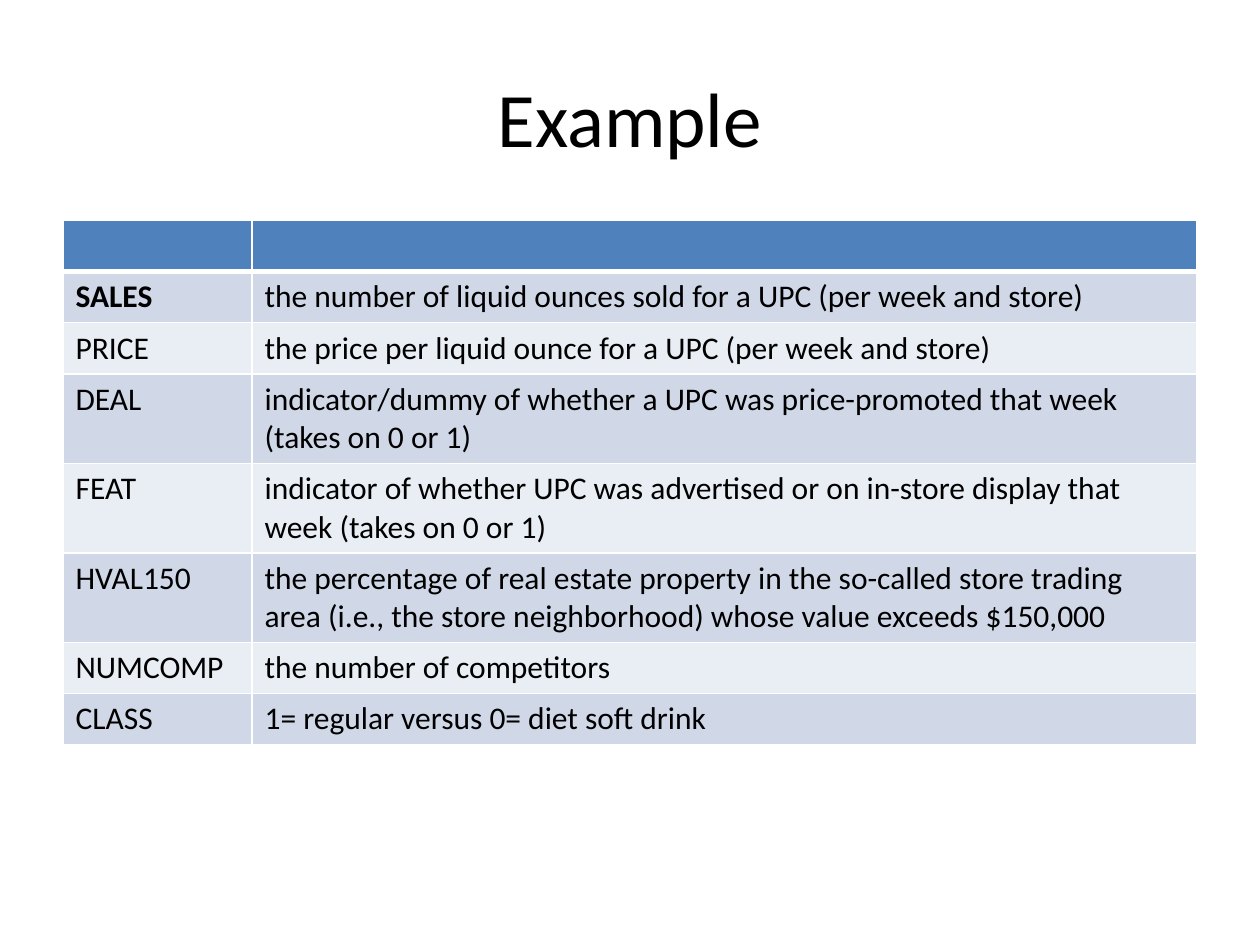
from lxml.etree import SubElement
from pptx import Presentation
from pptx.dml.color import RGBColor
from pptx.enum.text import MSO_ANCHOR, PP_ALIGN
from pptx.oxml.ns import qn
from pptx.util import Pt

FONT = "Calibri"
BLACK = RGBColor(0x00, 0x00, 0x00)
WHITE = RGBColor(0xFF, 0xFF, 0xFF)
HEADER_BLUE = RGBColor(0x4F, 0x81, 0xBD)
BAND_DARK = RGBColor(0xD0, 0xD8, 0xE8)
BAND_LIGHT = RGBColor(0xE9, 0xED, 0xF4)

VARIABLES = [
    ("SALES", "the number of liquid ounces sold for a UPC (per week and store)"),
    ("PRICE", "the price per liquid ounce for a UPC (per week and store)"),
    ("DEAL", "indicator/dummy of whether a UPC was price-promoted that week "
             "(takes on 0 or 1)"),
    ("FEAT", "indicator of whether UPC was advertised or on in-store display "
             "that week (takes on 0 or 1)"),
    ("HVAL150", "the percentage of real estate property in the so-called store "
                "trading area (i.e., the store neighborhood) whose value "
                "exceeds $150,000"),
    ("NUMCOMP", "the number of competitors"),
    ("CLASS", "1= regular versus 0= diet soft drink "),
]


class SlideBuilder:
    """Holds the text style and the current slide."""

    def __init__(self, slide):
        """Keep the slide to fill."""
        self.slide = slide

    def style(self, paragraph, size, bold=False):
        """Set the font of a paragraph."""
        font = paragraph.font
        font.name, font.size, font.bold = FONT, Pt(size), bold
        font.color.rgb = BLACK

    def title(self, text, left, top, width, height):
        """Fill and place the title placeholder."""
        shape = self.slide.shapes.title
        shape.left, shape.top = Pt(left), Pt(top)
        shape.width, shape.height = Pt(width), Pt(height)
        frame = shape.text_frame
        frame.text = text
        frame.vertical_anchor = MSO_ANCHOR.MIDDLE
        frame.paragraphs[0].alignment = PP_ALIGN.CENTER
        self.style(frame.paragraphs[0], 44)

    def borders(self, cell, bottom=1, top=1):
        """Draw white lines around a cell."""
        properties = cell._tc.get_or_add_tcPr()
        for side, width in (("L", 1), ("R", 1), ("T", top), ("B", bottom)):
            line = SubElement(properties, qn(f"a:ln{side}"), w=str(Pt(width)))
            fill = SubElement(line, qn("a:solidFill"))
            SubElement(fill, qn("a:srgbClr"), val=str(WHITE))

    def table(self, rows, left, top, column_widths, row_height):
        """Add a banded table with an empty header row."""
        rows = [("",) * len(column_widths)] + rows
        table = self.slide.shapes.add_table(
            len(rows), len(column_widths), Pt(left), Pt(top),
            Pt(sum(column_widths)), Pt(row_height * len(rows))).table
        for column, width in zip(table.columns, column_widths):
            column.width = Pt(width)
        for row_index, row in enumerate(rows):
            table.rows[row_index].height = Pt(row_height)
            band = BAND_DARK if row_index % 2 else BAND_LIGHT
            for column_index, text in enumerate(row):
                cell = table.cell(row_index, column_index)
                self.borders(cell, bottom=3 if row_index == 0 else 1,
                             top=3 if row_index == 1 else 1)
                cell.fill.solid()
                cell.fill.fore_color.rgb = band if row_index else HEADER_BLUE
                cell.text = text
                self.style(cell.text_frame.paragraphs[0], 18,
                           bold=text == "SALES")


def main():
    """Build the slide and save it."""
    presentation = Presentation()
    presentation.slide_width, presentation.slide_height = Pt(720), Pt(540)
    title_only = presentation.slide_layouts[5]
    builder = SlideBuilder(presentation.slides.add_slide(title_only))
    builder.title("Example", 36, 21.6, 648, 90)
    builder.table(VARIABLES, 36, 126, (108, 540), 29.2)
    presentation.save("out.pptx")


main()
